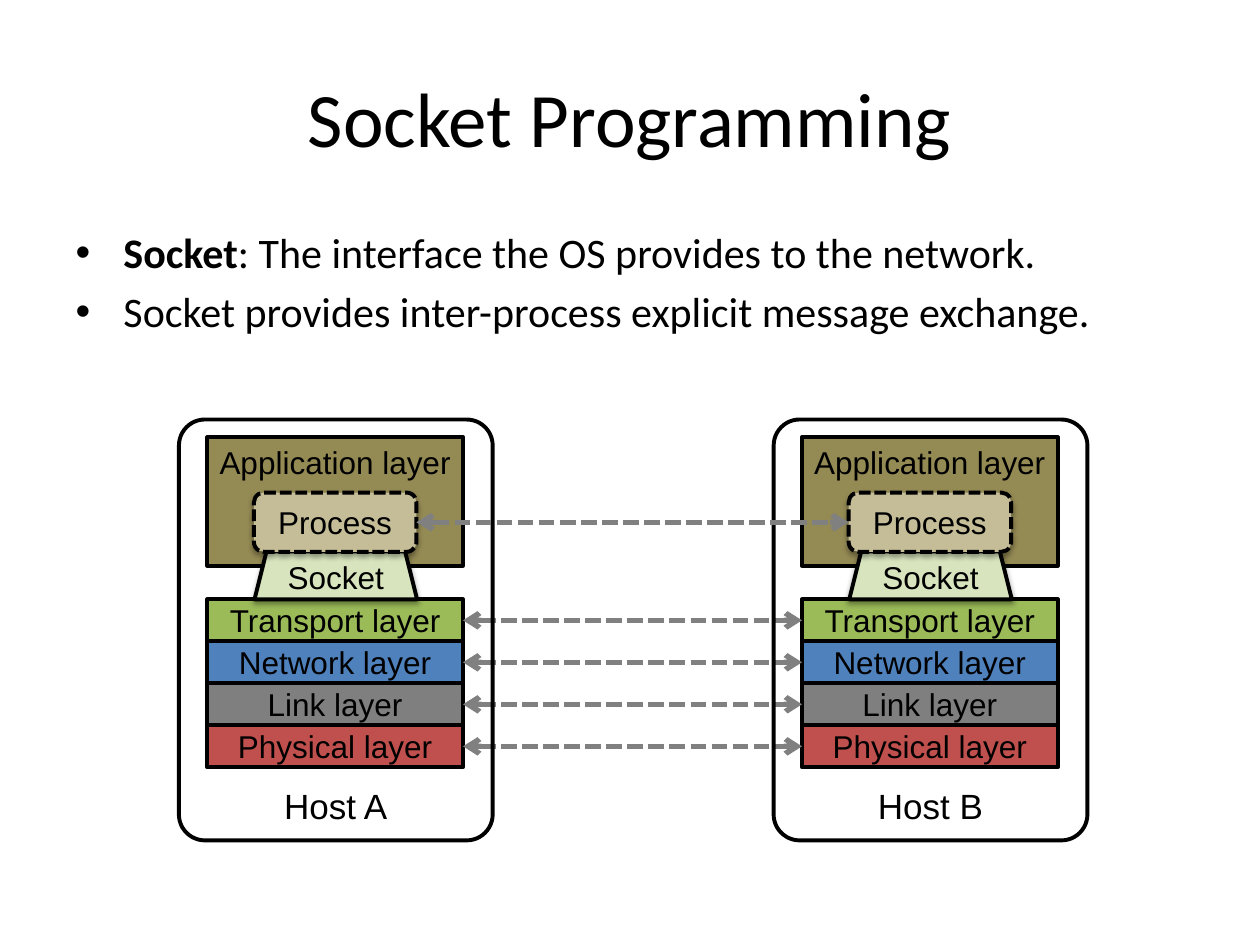
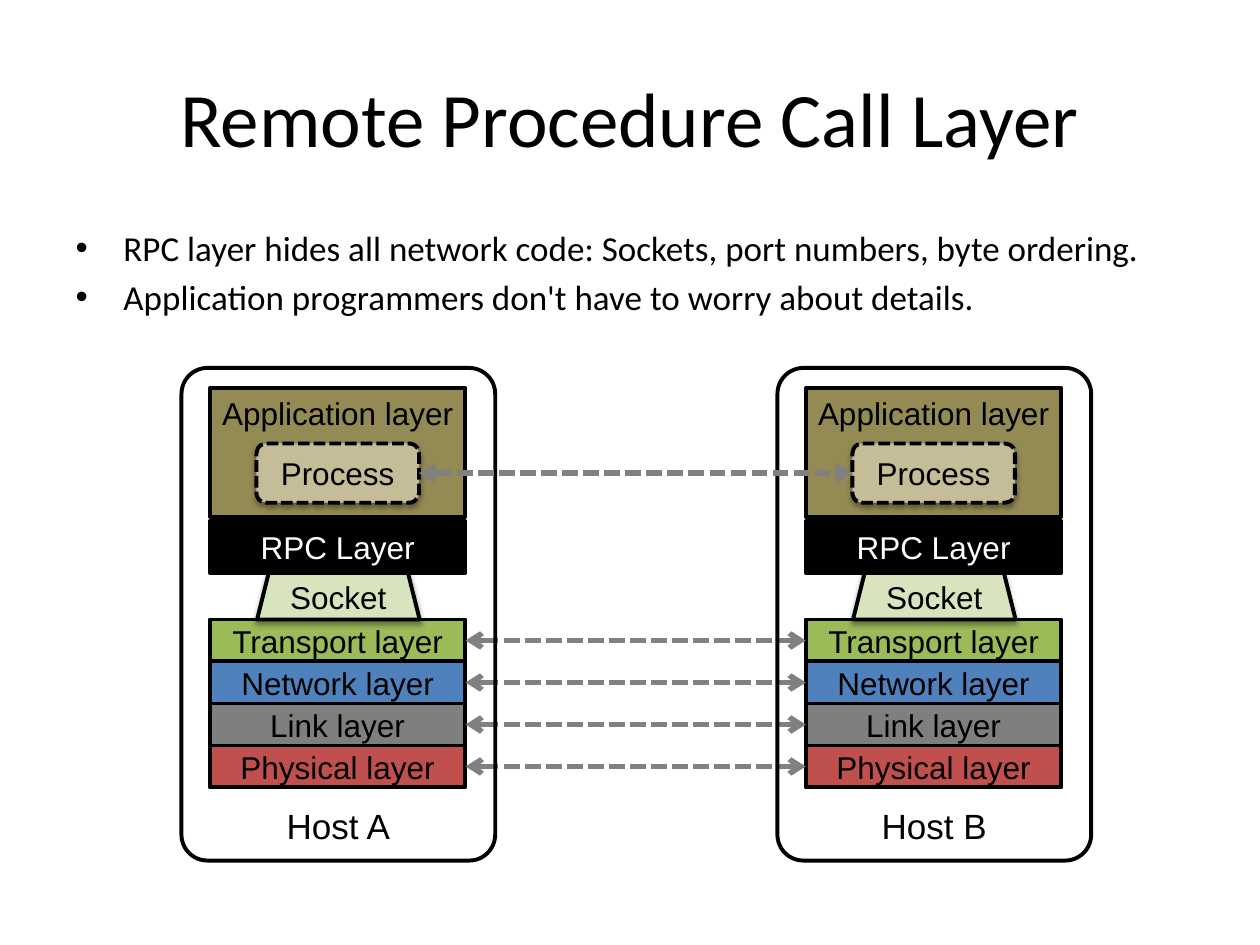
from collections import namedtuple
from dataclasses import dataclass

from lxml.etree import SubElement
from pptx import Presentation
from pptx.dml.color import RGBColor
from pptx.enum.dml import MSO_LINE_DASH_STYLE as Dash
from pptx.enum.shapes import MSO_CONNECTOR as Connector
from pptx.enum.shapes import MSO_SHAPE as Preset
from pptx.enum.text import MSO_ANCHOR as Anchor
from pptx.enum.text import MSO_AUTO_SIZE as AutoSize
from pptx.enum.text import PP_ALIGN as Align
from pptx.oxml.ns import qn
from pptx.util import Inches, Pt

SLIDE_WIDTH, SLIDE_HEIGHT = Inches(10), Inches(7.5)
COLUMN, ROW = SLIDE_WIDTH / 100, SLIDE_HEIGHT / 75
LEFT_SIDE, RIGHT_SIDE = 1, 3


@dataclass(frozen=True)
class Theme:
    ink: str = "000000"
    paper: str = "FFFFFF"
    arrow: str = "808080"
    application: str = "948A54"
    process: str = "C4BD97"
    socket: str = "D7E4BD"
    transport: str = "9BBB59"
    network: str = "4F81BD"
    link: str = "7F7F7F"
    physical: str = "C0504D"
    heading_font: str = "Calibri"
    label_font: str = "Arial"
    title_size: int = 44
    host_size: int = 20
    label_size: int = 18
    outline: float = 2.25
    arrow_width: float = 3


THEME = Theme()
LOWER_LAYERS = [
    ("Transport layer", THEME.transport),
    ("Network layer", THEME.network),
    ("Link layer", THEME.link),
    ("Physical layer", THEME.physical),
]
LAYER_HEIGHT = 10 / 3

Box = namedtuple("Box", "left top width height")
Host = namedtuple("Host", "layers process")


def within(box, left, top, width, height):
    return Box(box.left + left, box.top + top, width, height)


def on_slide(box):
    return [round(length * unit) for length, unit in zip(box, (COLUMN, ROW, COLUMN, ROW))]


def assign(target, values):
    for name, value in values.items():
        setattr(target, name, value)


def style_font(font, name, size, color=THEME.ink, bold=False):
    assign(font, {"name": name, "size": Pt(size), "bold": bold})
    font.color.rgb = RGBColor.from_string(color)


def style_line(line, color, width, dashed=False):
    line.color.rgb = RGBColor.from_string(color)
    line.width = Pt(width)
    if dashed:
        line.dash_style = Dash.SQUARE_DOT


def add_soft_shadow(shape):
    effects = shape._element.spPr.find(qn("a:effectLst"))
    shadow = SubElement(effects, qn("a:outerShdw"), blurRad=str(Pt(3.1)), dist=str(Pt(1.8)),
                        dir="5400000", rotWithShape="0")
    color = SubElement(shadow, qn("a:srgbClr"), val=THEME.ink)
    SubElement(color, qn("a:alpha"), val="35000")


def add_block(slide, box, text, fill=None, preset=Preset.RECTANGLE, anchor=Anchor.MIDDLE,
              size=THEME.label_size, color=THEME.ink, wrap=False, dashed=False, shadow=False):
    shape = slide.shapes.add_shape(preset, *on_slide(box))
    shape.shadow.inherit = False
    if fill:
        shape.fill.solid()
        shape.fill.fore_color.rgb = RGBColor.from_string(fill)
    else:
        shape.fill.background()
    style_line(shape.line, THEME.ink, THEME.outline, dashed)
    if shadow:
        add_soft_shadow(shape)
    assign(shape.text_frame, {"text": text, "word_wrap": wrap, "vertical_anchor": anchor})
    paragraph = shape.text_frame.paragraphs[0]
    paragraph.alignment = Align.CENTER
    style_font(paragraph.runs[0].font, THEME.label_font, size, color)
    return shape


def add_exchange(slide, sender, receiver):
    connector = slide.shapes.add_connector(Connector.STRAIGHT, 0, 0, 0, 0)
    connector.begin_connect(sender, RIGHT_SIDE)
    connector.end_connect(receiver, LEFT_SIDE)
    style_line(connector.line, THEME.arrow, THEME.arrow_width, dashed=True)
    for end in ("a:headEnd", "a:tailEnd"):
        SubElement(connector.line._get_or_add_ln(), qn(end), type="arrow")
    SubElement(connector._element.spPr, qn("a:effectLst"))


def add_title(slide, text):
    title = slide.shapes.title
    assign(title, dict(zip(Box._fields, on_slide(Box(5, 3, 90, 12.5)))))
    assign(title.text_frame, {"text": text, "vertical_anchor": Anchor.MIDDLE})
    paragraph = title.text_frame.paragraphs[0]
    paragraph.alignment = Align.CENTER
    style_font(paragraph.runs[0].font, THEME.heading_font, THEME.title_size)


def add_bullets(slide, bullets, size):
    body = slide.placeholders[1]
    assign(body, dict(zip(Box._fields, on_slide(Box(5, 17.5, 90, 49.5)))))
    frame = body.text_frame
    assign(frame, {"word_wrap": True, "auto_size": AutoSize.NONE})
    for index, (term, text) in enumerate(bullets):
        paragraph = frame.add_paragraph() if index else frame.paragraphs[0]
        properties = paragraph._p.get_or_add_pPr()
        assign_indent = {"marL": Inches(0.38), "indent": -Inches(0.38)}
        for name, value in assign_indent.items():
            properties.set(name, str(value))
        SubElement(properties, qn("a:buChar"), char="•")
        paragraph.space_before = Pt(size * 0.2 if index else 0)
        for content, bold in ((term, True), (text, False)):
            if content:
                run = paragraph.add_run()
                run.text = content
                style_font(run.font, THEME.heading_font, size, bold=bold)


def stack_top(box):
    return box.height - 5.8 - len(LOWER_LAYERS) * LAYER_HEIGHT


def add_layers(slide, box, application_top):
    add_block(slide, within(box, 2.25, application_top, 20.3, 10.2), "Application layer",
              THEME.application, anchor=Anchor.TOP)
    return [
        add_block(slide, within(box, 2.25, stack_top(box) + index * LAYER_HEIGHT,
                                20.3, LAYER_HEIGHT), name, fill)
        for index, (name, fill) in enumerate(LOWER_LAYERS)
    ]


def add_endpoint(slide, box, name, application_top, has_rpc):
    frame = add_block(slide, box, name, preset=Preset.ROUNDED_RECTANGLE, anchor=Anchor.BOTTOM,
                      size=THEME.host_size, wrap=True)
    frame.adjustments[0] = 0.083
    socket_top = stack_top(box) - 3.8
    add_block(slide, within(box, 6, socket_top, 12.9, 3.8), "Socket", THEME.socket,
              Preset.TRAPEZOID, wrap=True, shadow=True)
    process = add_block(slide, within(box, 5.95, application_top + 4.4, 12.9, 4.7), "Process",
                        THEME.process, Preset.FLOWCHART_ALTERNATE_PROCESS,
                        wrap=True, dashed=True, shadow=True)
    if has_rpc:
        add_block(slide, within(box, 2.25, socket_top - 4, 20.3, 4.1), "RPC Layer",
                  THEME.ink, color=THEME.paper)
    return process


def add_host_pair(slide, box, application_top, has_rpc):
    host_width = 24.9
    hosts = {
        "Host A": within(box, 0, 0, host_width, box.height),
        "Host B": within(box, box.width - host_width, 0, host_width, box.height),
    }
    stacks = [add_layers(slide, host, application_top) for host in hosts.values()]
    for sender, receiver in zip(*stacks):
        add_exchange(slide, sender, receiver)
    processes = [add_endpoint(slide, host, name, application_top, has_rpc)
                 for name, host in hosts.items()]
    add_exchange(slide, *processes)


def add_network_slide(presentation, title, bullets, bullet_size, diagram,
                      application_top, has_rpc=False):
    slide = presentation.slides.add_slide(presentation.slide_layouts[1])
    add_title(slide, title)
    add_bullets(slide, bullets, bullet_size)
    add_host_pair(slide, diagram, application_top, has_rpc)


def main():
    presentation = Presentation()
    assign(presentation, {"slide_width": SLIDE_WIDTH, "slide_height": SLIDE_HEIGHT})
    add_network_slide(
        presentation, "Socket Programming",
        [("Socket", ": The interface the OS provides to the network."),
         ("", "Socket provides inter-process explicit message exchange.")],
        24, Box(14.2, 33.3, 72.1, 33.4), application_top=1.4)
    add_network_slide(
        presentation, "Remote Procedure Call Layer",
        [("", "RPC layer hides all network code: Sockets, port numbers, byte ordering."),
         ("", "Application programmers don't have to worry about details.")],
        20, Box(14.4, 29.2, 72.2, 39.1), application_top=1.6, has_rpc=True)
    presentation.save("out.pptx")


if __name__ == "__main__":
    main()
